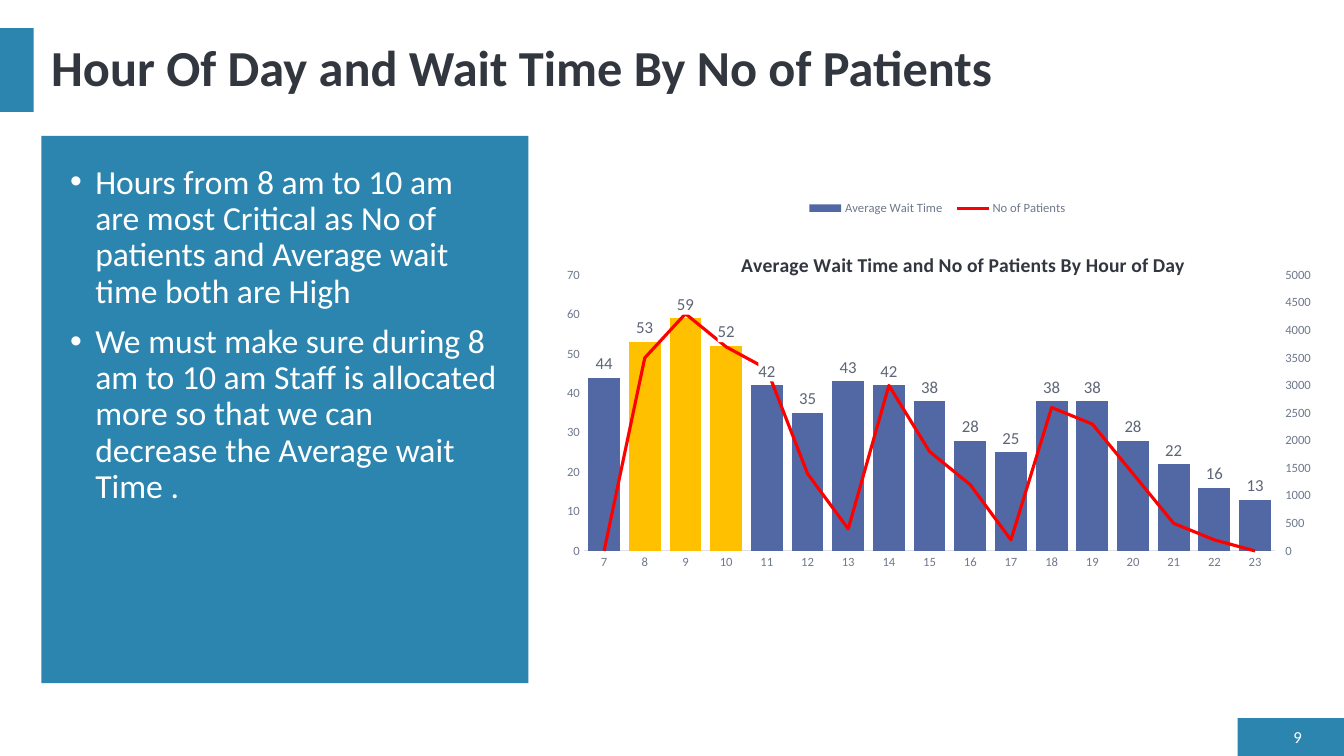
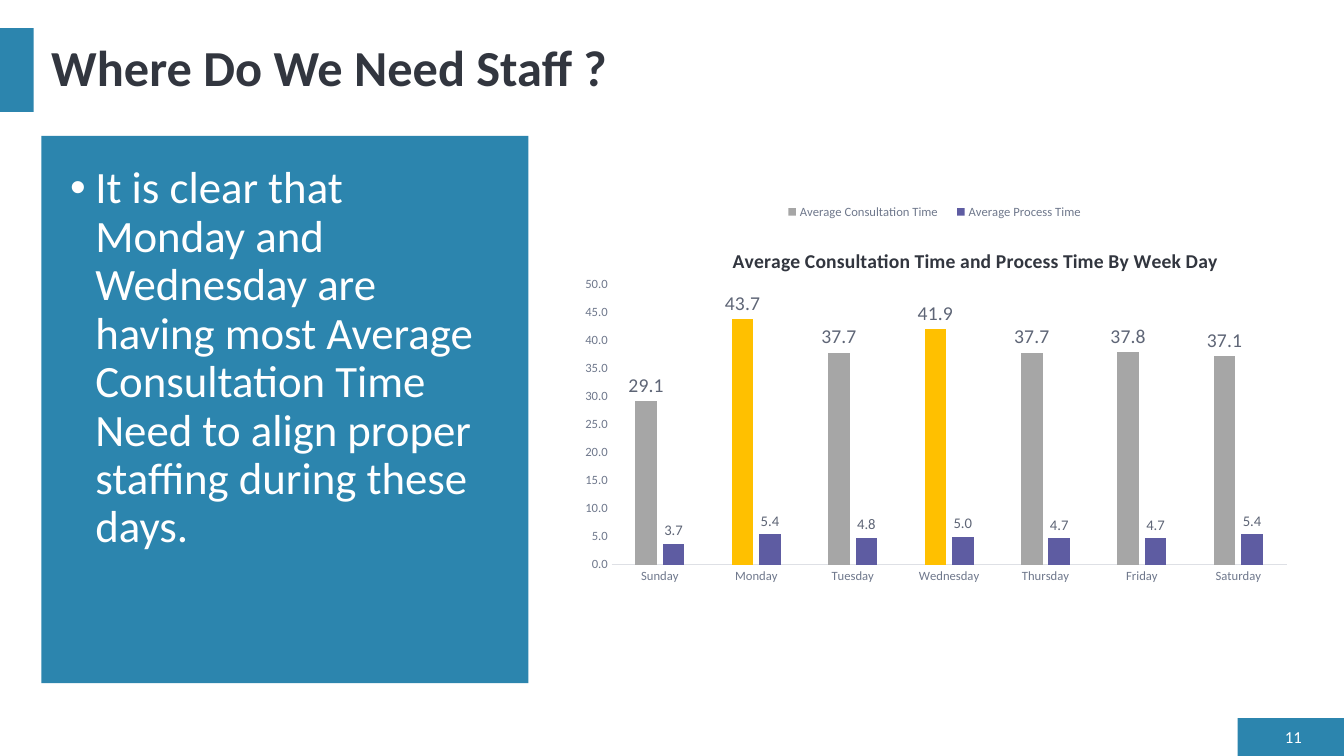
import pptx
import pptx.chart.axis
import pptx.chart.data
import pptx.dml.color
import pptx.enum.chart
import pptx.enum.shapes
import pptx.enum.text
import pptx.oxml
import pptx.oxml.ns
import pptx.util

Pt = pptx.util.Pt
qn = pptx.oxml.ns.qn
XL = pptx.enum.chart
ALIGN = pptx.enum.text.PP_ALIGN
ANCHOR = pptx.enum.text.MSO_ANCHOR

THEME = {
    "font": "Calibri",
    "band": "2C85AE", "white": "FFFFFF", "dark": "32363F",
    "axis": "6F788C", "axis_line": "DEE0E5", "label": "5E6576",
    "highlight": "FFC000",
    "title_size": 36, "number_size": 12, "chart_size": 10,
    "chart_title_size": 14, "axis_size": 9,
}

BANDS = [(884, 513, 76, 27), (0, 20, 24, 60), (29.5, 97, 348, 391)]
TITLE_BOX = (29.5, 20, 907, 60)
NUMBER_BOX = (907, 518, 30, 17)
BODY_BOX = (43, 114.5, 320, 358.5)

SLIDES = [
    {
        "title": "Hour Of Day and Wait Time By No of Patients",
        "number": "9",
        "body_size": 24,
        "bullets": [
            "Hours from 8 am to 10 am are most Critical as No of patients and Average wait time both are High",
            "We must make sure during 8 am to 10 am Staff is allocated more so that we can decrease the Average wait Time .",
        ],
        "chart": {
            "box": (395, 129, 549, 281.5),
            "title": "Average Wait Time and No of Patients By Hour of Day",
            "cats": [str(hour) for hour in range(7, 24)],
            "gap": 28,
            "axis": {"maximum_scale": 70, "major_unit": 10},
            "fmt": "0",
            "bars": [
                {"name": "Average Wait Time", "color": "5268A5", "label_size": 12,
                 "highlights": [1, 2, 3],
                 "vals": [44, 53, 59, 52, 42, 35, 43, 42, 38, 28, 25, 38, 38, 28, 22, 16, 13]},
            ],
            "line": {"name": "No of Patients", "color": "FF0000", "width": 2.25,
                     "axis": {"maximum_scale": 5000, "major_unit": 500},
                     "vals": [0, 3500, 4300, 3700, 3300, 1400, 400, 3000, 1800,
                              1200, 200, 2600, 2300, 1400, 500, 200, 0]},
            "plot_at": (0.04, 0.24, 0.9, 0.7),
            "title_at": (0.24, 0.17),
            "legend_at": (0.32, 0.04, 0.36, 0.06),
        },
    },
    {
        "title": "Where Do We Need Staff ?",
        "number": "11",
        "body_size": 32,
        "bullets": [
            "It is clear that Monday and Wednesday are having most Average Consultation Time Need to align proper staffing during these days.",
        ],
        "chart": {
            "box": (405.5, 137, 524, 286.5),
            "title": "Average Consultation Time and Process Time By Week Day",
            "cats": ["Sunday", "Monday", "Tuesday", "Wednesday", "Thursday", "Friday", "Saturday"],
            "gap": 219,
            "axis": {"maximum_scale": 50, "major_unit": 5},
            "fmt": "0.0",
            "bars": [
                {"name": "Average Consultation Time", "color": "A6A6A6", "label_size": 14,
                 "highlights": [1, 3],
                 "vals": [29.1, 43.7, 37.7, 41.9, 37.7, 37.8, 37.1]},
                {"name": "Average Process Time", "color": "5E5CA2", "label_size": 10.5,
                 "highlights": [],
                 "vals": [3.7, 5.4, 4.8, 5, 4.7, 4.7, 5.4]},
            ],
            "line": None,
            "plot_at": (0.06, 0.23, 0.92, 0.7),
            "title_at": (0.22, 0.13),
            "legend_at": (0.28, 0.02, 0.44, 0.06),
        },
    },
]

CHART_NS = pptx.oxml.ns.nsdecls("c", "a")
SECOND_AXES = f"""<c:plotArea {CHART_NS}>
<c:lineChart><c:grouping val="standard"/><c:varyColors val="0"/>
<c:marker val="1"/><c:axId val="5001"/><c:axId val="5002"/></c:lineChart>
<c:valAx><c:axId val="5002"/><c:scaling><c:orientation val="minMax"/></c:scaling>
<c:delete val="0"/><c:axPos val="r"/><c:majorTickMark val="out"/>
<c:minorTickMark val="none"/><c:tickLblPos val="nextTo"/>
<c:crossAx val="5001"/><c:crosses val="max"/></c:valAx>
<c:catAx><c:axId val="5001"/><c:scaling><c:orientation val="minMax"/></c:scaling>
<c:delete val="1"/><c:axPos val="b"/><c:crossAx val="5002"/></c:catAx>
</c:plotArea>"""


def rgb(color):
    return pptx.dml.color.RGBColor.from_string(color)


def apply(obj, values):
    for name, value in values.items():
        setattr(obj, name, value)


def set_font(font, size, color, bold=False):
    apply(font, {"name": THEME["font"], "size": Pt(size), "bold": bold})
    font.color.rgb = rgb(color)


def paint(fmt, color):
    fmt.fill.solid()
    fmt.fill.fore_color.rgb = rgb(color)


def add_band(s, box):
    sp = s.shapes.add_shape(pptx.enum.shapes.MSO_SHAPE.RECTANGLE, *map(Pt, box))
    sp.shadow.inherit = False
    paint(sp, THEME["band"])
    sp.line.fill.background()


def add_text(s, box, texts, size, color, bold=False, bullet=False,
             anchor=ANCHOR.MIDDLE, **paragraph_format):
    tf = s.shapes.add_textbox(*map(Pt, box)).text_frame
    apply(tf, {"word_wrap": True, "vertical_anchor": anchor})
    for i, text in enumerate(texts):
        p = tf.add_paragraph() if i else tf.paragraphs[0]
        apply(p, paragraph_format)
        if i:
            p.space_before = Pt(10)
        if bullet:
            pPr = p._p.get_or_add_pPr()
            pPr.set("marL", str(Pt(18)))
            pPr.set("indent", str(Pt(-18)))
            pPr.append(pptx.oxml.parse_xml(
                f'<a:buFont {pptx.oxml.ns.nsdecls("a")} typeface="Arial"/>'))
            pPr.append(pptx.oxml.parse_xml(
                f'<a:buChar {pptx.oxml.ns.nsdecls("a")} char="•"/>'))
        r = p.add_run()
        r.text = text
        set_font(r.font, size, color, bold)


def place(element, index, at):
    for old in element.findall(qn("c:layout")):
        element.remove(old)
    target = '<c:layoutTarget val="inner"/>' if index == 0 else ""
    modes = '<c:xMode val="edge"/><c:yMode val="edge"/>'
    sizes = "".join(f'<c:{tag} val="{value}"/>' for tag, value in zip("xywh", at))
    element.insert(index, pptx.oxml.parse_xml(
        f"<c:layout {CHART_NS}><c:manualLayout>{target}{modes}{sizes}"
        "</c:manualLayout></c:layout>"))


def style_value_axis(axis, scale, fmt, tick):
    apply(axis, {"minimum_scale": 0, "has_major_gridlines": False,
                 "major_tick_mark": tick, **scale})
    apply(axis.tick_labels, {"number_format": fmt, "number_format_is_linked": False})
    axis.format.line.fill.background()
    set_font(axis.tick_labels.font, THEME["axis_size"], THEME["axis"])


def style_bars(ser, bar, fmt):
    paint(ser.format, bar["color"])
    for i in bar["highlights"]:
        paint(ser.points[i].format, THEME["highlight"])
    labels = ser.data_labels
    apply(labels, {"show_value": True, "number_format": fmt, "number_format_is_linked": False,
                   "position": XL.XL_LABEL_POSITION.OUTSIDE_END})
    set_font(labels.font, bar["label_size"], THEME["label"])
    labels._element.find(qn("c:txPr")).addprevious(pptx.oxml.parse_xml(
        f'<c:spPr {CHART_NS}><a:solidFill><a:srgbClr val="{THEME["white"]}"/>'
        "</a:solidFill></c:spPr>"))


def move_to_line(chart, line):
    bar_chart = chart.plots[0]._element
    ser = bar_chart.findall(qn("c:ser"))[-1]
    for old in ser.findall(qn("c:invertIfNegative")):
        ser.remove(old)
    line_chart, val_ax, cat_ax = pptx.oxml.parse_xml(SECOND_AXES)
    line_chart.find(qn("c:varyColors")).addnext(ser)
    bar_chart.addnext(line_chart)
    last_axis = chart.value_axis._element
    last_axis.addnext(val_ax)
    val_ax.addnext(cat_ax)
    patients = chart.plots[1].series[0]
    patients.smooth = False
    patients.marker.style = XL.XL_MARKER_STYLE.NONE
    patients.format.line.width = Pt(line["width"])
    patients.format.line.color.rgb = rgb(line["color"])
    style_value_axis(pptx.chart.axis.ValueAxis(val_ax), line["axis"], "0",
                     XL.XL_TICK_MARK.OUTSIDE)


def add_chart(s, spec_chart):
    line = spec_chart["line"]
    data = pptx.chart.data.CategoryChartData()
    data.categories = spec_chart["cats"]
    for item in spec_chart["bars"] + ([line] if line else []):
        data.add_series(item["name"], item["vals"])
    chart = s.shapes.add_chart(XL.XL_CHART_TYPE.COLUMN_CLUSTERED,
                               *map(Pt, spec_chart["box"]), data).chart
    set_font(chart.font, THEME["chart_size"], THEME["dark"])
    apply(chart.plots[0], {"gap_width": spec_chart["gap"], "overlap": -27,
                           "vary_by_categories": False})

    chart.has_title = True
    p = chart.chart_title.text_frame.paragraphs[0]
    r = p.add_run()
    r.text = spec_chart["title"]
    set_font(r.font, THEME["chart_title_size"], THEME["dark"], True)

    chart.has_legend = True
    apply(chart.legend, {"position": XL.XL_LEGEND_POSITION.TOP, "include_in_layout": False})
    set_font(chart.legend.font, THEME["axis_size"], THEME["axis"])

    cat = chart.category_axis
    cat.major_tick_mark = XL.XL_TICK_MARK.NONE
    cat.format.line.width = Pt(0.75)
    cat.format.line.color.rgb = rgb(THEME["axis_line"])
    set_font(cat.tick_labels.font, THEME["axis_size"], THEME["axis"])
    style_value_axis(chart.value_axis, spec_chart["axis"], spec_chart["fmt"],
                     XL.XL_TICK_MARK.NONE)

    for ser, bar in zip(chart.plots[0].series, spec_chart["bars"]):
        style_bars(ser, bar, spec_chart["fmt"])
    if line:
        move_to_line(chart, line)

    plot_area = chart.plots[0]._element.getparent()
    place(plot_area, 0, spec_chart["plot_at"])
    place(chart.chart_title._element, 1, spec_chart["title_at"])
    place(chart.legend._element, 1, spec_chart["legend_at"])


def add_slide(prs, content):
    s = prs.slides.add_slide(prs.slide_layouts[6])
    for box in BANDS:
        add_band(s, box)
    add_text(s, TITLE_BOX, [content["title"]], THEME["title_size"], THEME["dark"],
             bold=True, line_spacing=0.9)
    add_text(s, NUMBER_BOX, [content["number"]], THEME["number_size"], THEME["white"],
             alignment=ALIGN.RIGHT)
    add_text(s, BODY_BOX, content["bullets"], content["body_size"], THEME["white"],
             bullet=True, anchor=ANCHOR.TOP, line_spacing=0.9)
    add_chart(s, content["chart"])


def main():
    prs = pptx.Presentation()
    apply(prs, {"slide_width": Pt(960), "slide_height": Pt(540)})
    for content in SLIDES:
        add_slide(prs, content)
    prs.save("out.pptx")


if __name__ == "__main__":
    main()
